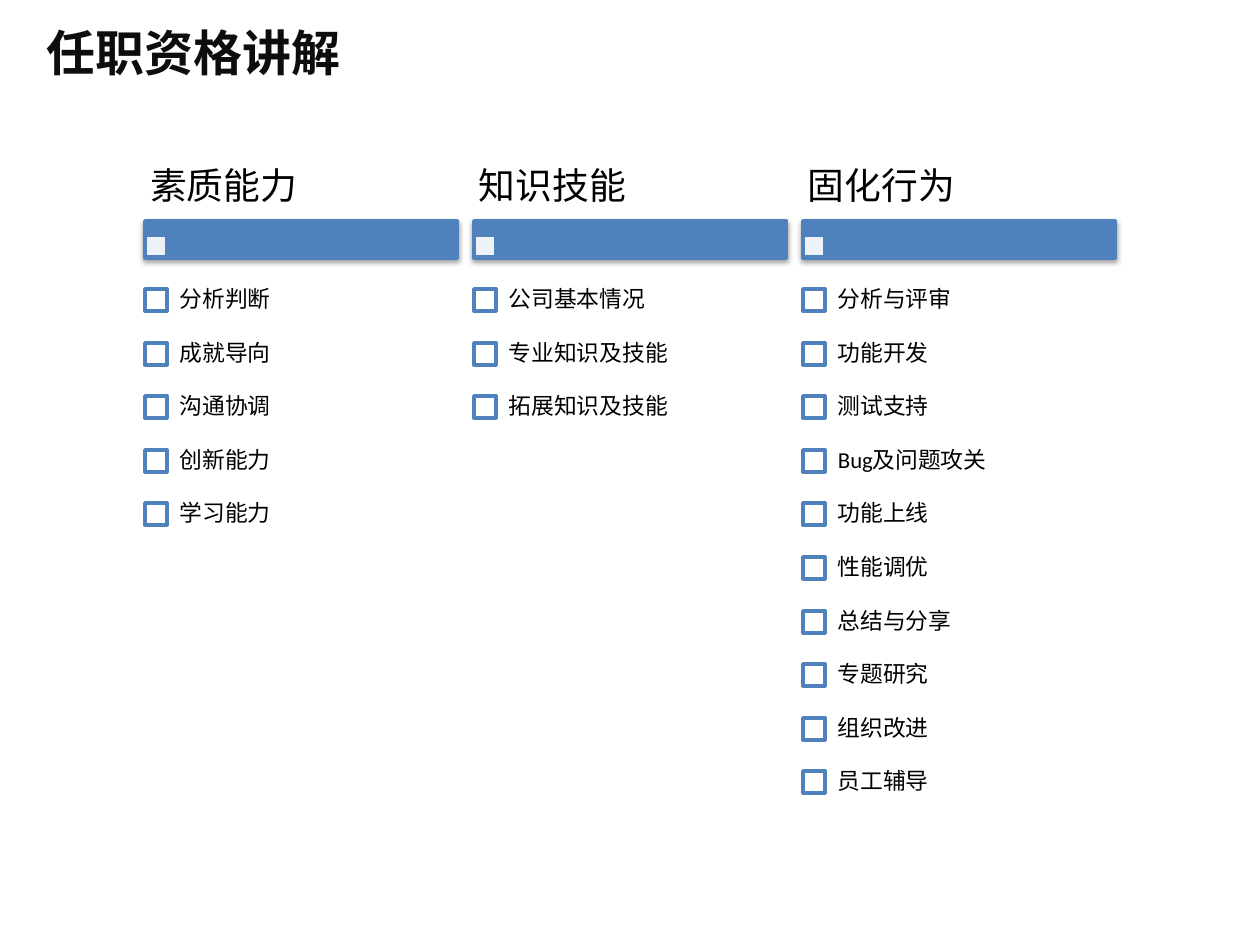
from lxml import etree
from pptx import Presentation
from pptx.dml.color import RGBColor
from pptx.enum.shapes import MSO_SHAPE
from pptx.enum.text import MSO_ANCHOR
from pptx.oxml import parse_xml
from pptx.oxml.ns import nsdecls, qn
from pptx.util import Emu, Pt

RECTANGLE = MSO_SHAPE.RECTANGLE
MIDDLE = MSO_ANCHOR.MIDDLE
PIXEL = 914400 // 126
COLORS = {"blue": "4F81BD", "white": "FFFFFF", "title": "0D0D0D", "text": "000000"}
CJK_FONT = "Noto Sans CJK SC"
BODY_FONT = "Calibri"

COLUMNS = [
    ("素质能力", ["分析判断", "成就导向", "沟通协调", "创新能力", "学习能力"]),
    ("知识技能", ["公司基本情况", "专业知识及技能", "拓展知识及技能"]),
    ("固化行为", ["分析与评审", "功能开发", "测试支持", "Bug及问题攻关", "功能上线",
              "性能调优", "总结与分享", "专题研究", "组织改进", "员工辅导"]),
]
COLUMN_LEFT, COLUMN_PITCH, COLUMN_WIDTH = 145, 329, 312
ROW_TOP, ROW_PITCH, ROW_HEIGHT = 273, 53.6, 54
BOX_SIZE = 22

presentation = Presentation()
presentation.slide_width = Emu(1260 * PIXEL)
presentation.slide_height = Emu(945 * PIXEL)
slide = presentation.slides.add_slide(presentation.slide_layouts[6])


def add_rectangle(left, top, width, height, fill):
    """Add a filled rectangle with a blue outline and no shadow."""
    shape = slide.shapes.add_shape(
        RECTANGLE, *(Emu(value * PIXEL) for value in (left, top, width, height)))
    shape.shadow.inherit = False
    shape.fill.solid()
    shape.fill.fore_color.rgb = RGBColor.from_string(COLORS[fill])
    shape.line.color.rgb = RGBColor.from_string(COLORS["blue"])
    shape.line.width = Pt(2)
    return shape


def add_text(text, left, top, width, height, size, font, insets, color="text"):
    """Add a one-paragraph text box; insets are horizontal and vertical pixels."""
    box = slide.shapes.add_textbox(
        *(Emu(value * PIXEL) for value in (left, top, width, height)))
    frame = box.text_frame
    frame.word_wrap = True
    frame.margin_left = frame.margin_right = Emu(insets[0] * PIXEL)
    frame.margin_top = frame.margin_bottom = Emu(insets[1] * PIXEL)
    paragraph = frame.paragraphs[0]
    paragraph.text = text
    paragraph.font.size = Pt(size)
    paragraph.font.name = font
    paragraph.font.color.rgb = RGBColor.from_string(COLORS[color])
    properties = paragraph._p.pPr.find(qn("a:defRPr"))
    etree.SubElement(properties, qn("a:ea")).set("typeface", CJK_FONT)
    return frame


title = add_text("任职资格讲解", 34, 16, 323, 72, 28, CJK_FONT, (13, 6), "title")
title.word_wrap = False
title.paragraphs[0].font.bold = True

for column, (heading, items) in enumerate(COLUMNS):
    left = COLUMN_LEFT + column * COLUMN_PITCH

    bar = add_rectangle(left, 221, COLUMN_WIDTH, 37, "blue")
    bar_effects = bar._element.spPr.find(qn("a:effectLst"))
    bar_effects.append(parse_xml(
        f'<a:outerShdw {nsdecls("a")} blurRad="{Pt(3.1)}" dist="{Pt(1.6)}" '
        'dir="5400000" rotWithShape="0"><a:srgbClr val="000000">'
        '<a:alpha val="38000"/></a:srgbClr></a:outerShdw>'))

    marker = add_rectangle(left, 235, BOX_SIZE, BOX_SIZE, "white")
    marker_color = marker._element.spPr.find(qn("a:solidFill"))[0]
    etree.SubElement(marker_color, qn("a:alpha")).set("val", "90000")

    frames = [add_text(heading, left, 155, COLUMN_WIDTH, 66, 21, CJK_FONT, (5, 4))]
    for row, item in enumerate(items):
        top = round(ROW_TOP + row * ROW_PITCH)
        add_rectangle(left, top + 16, BOX_SIZE, BOX_SIZE, "white")
        frames.append(add_text(item, left + BOX_SIZE, top, COLUMN_WIDTH - BOX_SIZE,
                               ROW_HEIGHT, 13, BODY_FONT, (13, 13)))

    for frame in frames:
        frame.vertical_anchor = MIDDLE
        paragraph = frame.paragraphs[0]
        paragraph.line_spacing = 0.9
        paragraph.space_after = Pt(round(paragraph.font.size.pt * 0.35, 1))

presentation.save("out.pptx")
